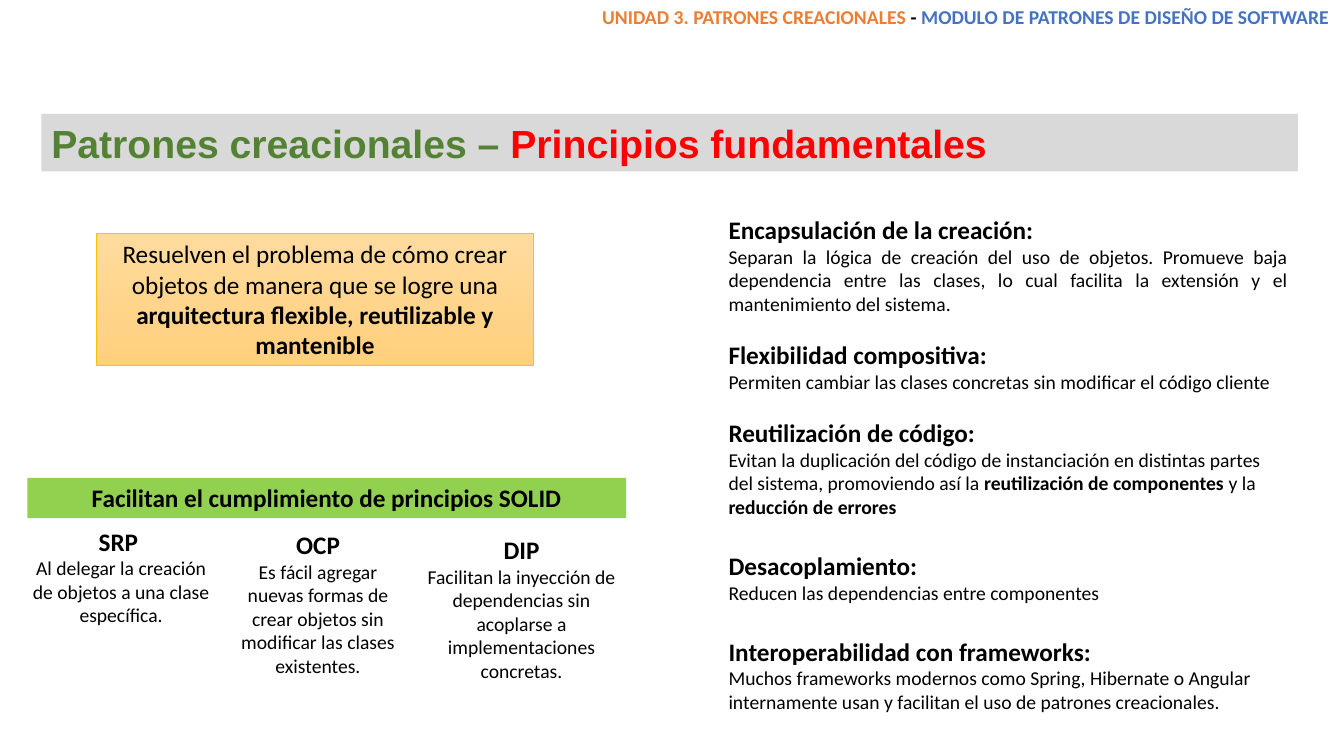
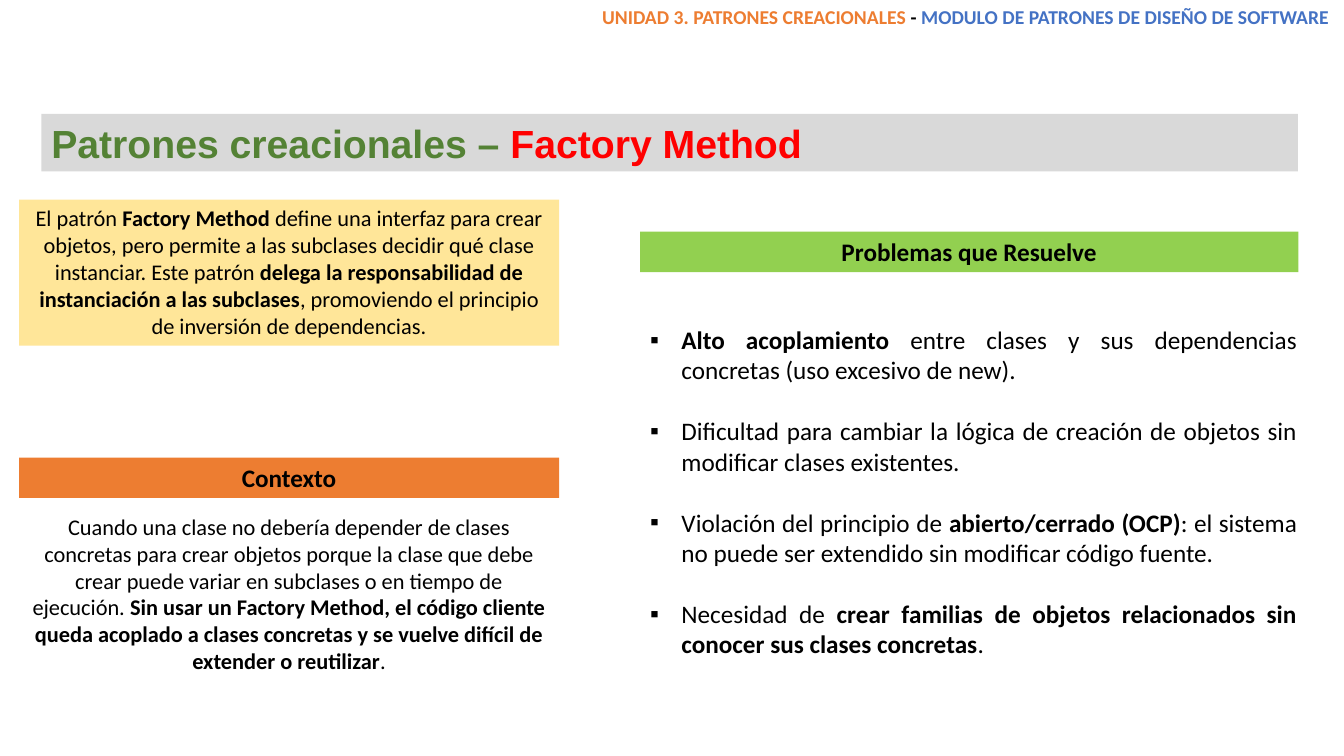
from lxml import etree
from pptx import Presentation
from pptx.dml.color import RGBColor
from pptx.enum.shapes import MSO_SHAPE
from pptx.enum.text import MSO_ANCHOR, MSO_AUTO_SIZE, PP_ALIGN
from pptx.oxml.ns import qn
from pptx.util import Cm, Pt

LEFT, CENTER, RIGHT, JUSTIFY = PP_ALIGN.LEFT, PP_ALIGN.CENTER, PP_ALIGN.RIGHT, PP_ALIGN.JUSTIFY
TOP = MSO_ANCHOR.TOP
NO_AUTOFIT = MSO_AUTO_SIZE.NONE
RECTANGLE = MSO_SHAPE.RECTANGLE
TITLE_AND_BODY, TITLE_ONLY = 1, 5

BLACK, WHITE, GRAY = "000000", "FFFFFF", "D9D9D9"
GREEN, ORANGE, YELLOW = "92D050", "ED7D31", "FFE699"
BLUE, DARK_GREEN, RED, GOLD = "4472C4", "548235", "FF0000", "FFC000"
AMBER_GRADIENT = ("FFDB9E", "FFD07C")

HEADER = [
    ("UNIDAD 3. PATRONES CREACIONALES ", ORANGE),
    ("- ", BLACK),
    ("MODULO DE PATRONES DE DISEÑO DE SOFTWARE ", BLUE),
]
TITLE_PREFIX = "Patrones creacionales – "
TITLES = ["Principios fundamentales", "Factory Method"]
BAR_HEIGHT = 1.02

PURPOSE = ("Resuelven el problema de cómo crear objetos de manera que se logre una "
           "**arquitectura flexible, reutilizable y mantenible**")
PRINCIPLES = [
    ("Encapsulación de la creación:",
     "Separan la lógica de creación del uso de objetos. Promueve baja dependencia entre las "
     "clases, lo cual facilita la extensión y el mantenimiento del sistema.",
     5.28, 2.82, JUSTIFY),
    ("Flexibilidad compositiva:",
     "Permiten cambiar las clases concretas sin modificar el código cliente",
     8.43, 1.63, LEFT),
    ("Reutilización de código:",
     "Evitan la duplicación del código de instanciación en distintas partes del sistema, "
     "promoviendo así la **reutilización de componentes** y la **reducción de errores**",
     10.39, 2.82, LEFT),
    ("Desacoplamiento:", "Reducen las dependencias entre componentes", 13.74, 1.63, LEFT),
    ("Interoperabilidad con frameworks:",
     "Muchos frameworks modernos como Spring, Hibernate o Angular internamente usan y "
     "facilitan el uso de patrones creacionales.",
     15.9, 2.24, LEFT),
]
SOLID_HEADING = "Facilitan el cumplimiento de principios SOLID"
SOLID = [
    ("SRP ", "Al delegar la creación de objetos a una clase específica.",
     (0.58, 13.13, 4.95, 2.82)),
    ("OCP", "Es fácil agregar nuevas formas de crear objetos sin modificar las clases existentes.",
     (5.54, 13.21, 4.95, 4.01)),
    ("DIP", "Facilitan la inyección de dependencias sin acoplarse a implementaciones concretas.",
     (10.16, 13.34, 5.97, 4.01)),
]

DEFINITION = (
    "El patrón **Factory Method **define una interfaz para crear objetos, pero permite a las "
    "subclases decidir qué clase instanciar. Este patrón **delega la responsabilidad de "
    "instanciación a las subclases**, promoviendo el principio de inversión de dependencias.")
CONTEXT_HEADING = "Contexto"
CONTEXT = (
    "Cuando una clase no debería depender de clases concretas para crear objetos porque la "
    "clase que debe crear puede variar en subclases o en tiempo de ejecución. **Sin usar un "
    "Factory Method, el código cliente queda acoplado a clases concretas y se vuelve difícil "
    "de extender o reutilizar**.")
PROBLEMS_HEADING = "Problemas que Resuelve"
PROBLEMS = [
    "**Alto acoplamiento** entre clases y sus dependencias concretas (uso excesivo de new).",
    "Dificultad para cambiar la lógica de creación de objetos sin modificar clases existentes.",
    "Violación del principio de **abierto/cerrado (OCP)**: el sistema no puede ser extendido "
    "sin modificar código fuente.",
    "Necesidad de **crear familias de objetos relacionados sin conocer sus clases concretas**.",
]


def color(value):
    return RGBColor.from_string(value)


def place(shape, area):
    shape.left, shape.top, shape.width, shape.height = map(Cm, area)


def paint(shape, fill):
    shape.fill.solid()
    shape.fill.fore_color.rgb = color(fill)


def add_run(paragraph, text, size, bold, ink=BLACK, font="Calibri"):
    run = paragraph.add_run()
    run.text = text
    run.font.name, run.font.size, run.font.bold = font, Pt(size), bold
    run.font.color.rgb = color(ink)


def write(paragraph, text, size, align):
    paragraph.alignment = align
    for index, part in enumerate(text.split("**")):
        if part:
            add_run(paragraph, part, size, index % 2 == 1)


def prepare(frame):
    frame.word_wrap = True
    frame.auto_size = NO_AUTOFIT
    frame.vertical_anchor = TOP


def add_box(slide, area, lines, fill=None):
    if fill:
        box = slide.shapes.add_shape(RECTANGLE, *map(Cm, area))
        box.shadow.inherit = False
        box.line.fill.background()
        paint(box, fill)
    else:
        box = slide.shapes.add_textbox(*map(Cm, area))
    frame = box.text_frame
    prepare(frame)
    for index, line in enumerate(lines):
        write(frame.add_paragraph() if index else frame.paragraphs[0], *line)
    return box


def add_bar(slide, left, top, width, text, fill):
    add_box(slide, (left, top, width, BAR_HEIGHT), [(f"**{text}**", 18, CENTER)], fill)


def headed(heading, text, heading_align, text_align):
    return [(f"**{heading}**", 18, heading_align), (text, 14, text_align)]


def start_slide(deck, layout, subject):
    slide = deck.slides.add_slide(deck.slide_layouts[layout])
    header = add_box(slide, (4.8, 0, 29.06, 0.86), []).text_frame.paragraphs[0]
    header.alignment = RIGHT
    for text, ink in HEADER:
        add_run(header, text, 14, True, ink)

    title = slide.shapes.title
    place(title, (1.04, 2.87, 31.67, 1.45))
    paint(title, GRAY)
    prepare(title.text_frame)
    heading = title.text_frame.paragraphs[0]
    heading.alignment = LEFT
    for text, ink in ((TITLE_PREFIX, DARK_GREEN), (subject, RED)):
        add_run(heading, text, 28, True, ink, "Arial")
    return slide


def build_principles(deck):
    slide = start_slide(deck, TITLE_ONLY, TITLES[0])
    for heading, text, top, height, align in PRINCIPLES:
        add_box(slide, (18.11, top, 14.6, height), headed(heading, text, LEFT, align), WHITE)

    purpose = add_box(slide, (2.44, 5.89, 11, 3.33), [(PURPOSE, 18, CENTER)], AMBER_GRADIENT[0])
    purpose.fill.gradient()
    purpose.fill.gradient_angle = 270
    for stop, tint in zip(purpose.fill.gradient_stops, AMBER_GRADIENT):
        stop.color.rgb = color(tint)
    purpose.line.color.rgb = color(GOLD)
    purpose.line.width = Pt(0.5)

    add_bar(slide, 0.69, 12.04, 15.09, SOLID_HEADING, GREEN)
    for heading, text, area in SOLID:
        add_box(slide, area, headed(heading, text, CENTER, CENTER))


def build_factory_method(deck):
    slide = start_slide(deck, TITLE_AND_BODY, TITLES[1])
    left, width = 0.48, 13.61
    add_box(slide, (left, 5.03, width, 3.68), [(DEFINITION, 16, CENTER)], YELLOW)
    add_bar(slide, left, 11.53, width, CONTEXT_HEADING, ORANGE)
    add_box(slide, (left, 12.8, width, 4.37), [(CONTEXT, 16, CENTER)], WHITE)
    add_bar(slide, 16.13, 5.84, 16.59, PROBLEMS_HEADING, GREEN)

    problems = slide.placeholders[1]
    place(problems, (16.13, 8.05, 16.81, 9.5))
    frame = problems.text_frame
    prepare(frame)
    for index, problem in enumerate(PROBLEMS):
        paragraph = frame.add_paragraph() if index else frame.paragraphs[0]
        properties = paragraph.alignment = JUSTIFY
        properties = paragraph._p.get_or_add_pPr()
        properties.set("marL", str(Cm(0.79)))
        properties.set("indent", str(-Cm(0.79)))
        etree.SubElement(properties, qn("a:buChar")).set("char", "▪")
        paragraph.space_before = Pt(22 if index else 0)
        write(paragraph, problem, 18, JUSTIFY)


def main():
    deck = Presentation()
    deck.slide_width, deck.slide_height = Cm(33.87), Cm(19.05)
    build_principles(deck)
    build_factory_method(deck)
    deck.save("out.pptx")


if __name__ == "__main__":
    main()
